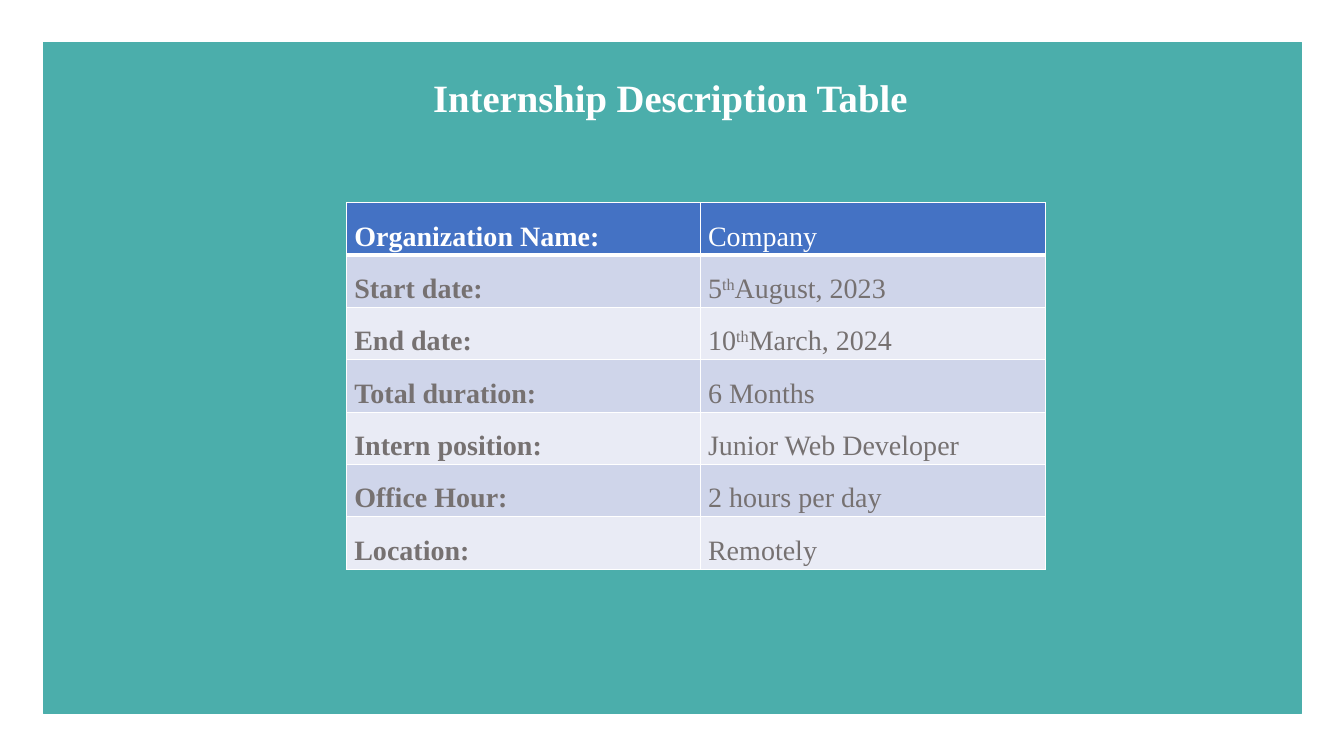
from dataclasses import dataclass

from lxml import etree
from pptx import Presentation
from pptx.dml.color import RGBColor
from pptx.enum import shapes, text
from pptx.oxml.ns import qn
from pptx.slide import Slide
from pptx.table import _Cell as Cell
from pptx.text.text import TextFrame
from pptx.util import Pt


@dataclass(frozen=True)
class Theme:
    font: str = "Times New Roman"
    title: float = 27.6
    body: float = 20
    panel: str = "4BAEAB"
    head: str = "4472C4"
    bands: tuple[str, str] = ("E9EBF5", "CFD5EA")
    white: str = "FFFFFF"
    grey: str = "767171"
    thin: float = 1
    thick: float = 3


@dataclass(frozen=True)
class Row:
    label: str
    value: str  # carets enclose superscript


@dataclass(frozen=True)
class Box:
    left: float
    top: float
    width: float
    height: float

    def pts(self) -> tuple[Pt, Pt, Pt, Pt]:
        return Pt(self.left), Pt(self.top), Pt(self.width), Pt(self.height)


THEME = Theme()
PANEL = Box(31, 30.2, 898.6, 479.5)
TITLE = Box(251, 49, 455.8, 40.3)
GRID = Box(247.7, 144.7, 499, 262.1)
COLS = (252.7, 246.3)
ROWS = (
    Row("Organization Name:", "Company"),
    Row("Start date:", "5^th^August, 2023"),
    Row("End date:", "10^th^March, 2024"),
    Row("Total duration:", "6 Months"),
    Row("Intern position:", "Junior Web Developer"),
    Row("Office Hour:", "2 hours per day"),
    Row("Location:", "Remotely"),
)


def rgb(code: str) -> RGBColor:
    return RGBColor.from_string(code)


def write(frame: TextFrame, words: str, *, size: float, color: str,
          bold: bool = False, align: text.PP_ALIGN = text.PP_ALIGN.LEFT,
          space: float = 1) -> None:
    """Fill the frame with one paragraph; carets enclose superscript."""
    para = frame.paragraphs[0]
    para.alignment = align
    para.line_spacing = space
    for i, part in enumerate(words.split("^")):
        run = para.add_run()
        run.text = part
        font = run.font
        font.name, font.size, font.bold = THEME.font, Pt(size), bold
        font.color.rgb = rgb(color)
        if i % 2:
            run._r.get_or_add_rPr().set("baseline", "30000")


def edge(cell: Cell, top: float, bottom: float) -> None:
    """Draw the cell's four borders, with their own widths above and below."""
    props = cell._tc.get_or_add_tcPr()
    widths = {"L": THEME.thin, "R": THEME.thin, "T": top, "B": bottom}
    for i, (side, width) in enumerate(widths.items()):
        line = etree.Element(qn(f"a:ln{side}"), w=str(Pt(width)))
        fill = etree.SubElement(line, qn("a:solidFill"))
        etree.SubElement(fill, qn("a:srgbClr"), val=THEME.white)
        props.insert(i, line)


def add_panel(slide: Slide) -> None:
    panel = slide.shapes.add_shape(shapes.MSO_SHAPE.RECTANGLE, *PANEL.pts())
    panel.shadow.inherit = False
    panel.fill.solid()
    panel.fill.fore_color.rgb = rgb(THEME.panel)
    panel.line.color.rgb = rgb(THEME.panel)
    panel.line.width = Pt(THEME.thin)
    slide.shapes._spTree.insert(2, panel._element)  # behind the title


def add_title(slide: Slide) -> None:
    title = slide.shapes.title
    title.left, title.top, title.width, title.height = TITLE.pts()
    frame = title.text_frame
    frame.word_wrap = True
    frame.auto_size = text.MSO_AUTO_SIZE.NONE
    frame.vertical_anchor = text.MSO_ANCHOR.MIDDLE
    write(frame, "Internship Description Table", size=THEME.title,
          color=THEME.white, bold=True, align=text.PP_ALIGN.CENTER)


def add_grid(slide: Slide) -> None:
    grid = slide.shapes.add_table(len(ROWS), len(COLS), *GRID.pts()).table
    for col, width in zip(grid.columns, COLS):
        col.width = Pt(width)
    for r, row in enumerate(ROWS):
        grid.rows[r].height = Pt(GRID.height / len(ROWS))
        for c, words in enumerate((row.label, row.value)):
            cell = grid.cell(r, c)
            cell.margin_left = cell.margin_right = Pt(5.4)
            cell.margin_top = cell.margin_bottom = Pt(0)
            cell.vertical_anchor = text.MSO_ANCHOR.MIDDLE
            cell.fill.solid()
            cell.fill.fore_color.rgb = rgb(THEME.bands[r % 2] if r else THEME.head)
            edge(cell, top=THEME.thick if r == 1 else THEME.thin,
                 bottom=THEME.thin if r else THEME.thick)
            write(cell.text_frame, words, size=THEME.body, bold=c == 0,
                  color=THEME.grey if r else THEME.white,
                  align=text.PP_ALIGN.JUSTIFY, space=1.5)


def main() -> None:
    deck = Presentation()
    deck.slide_width, deck.slide_height = Pt(960), Pt(540)
    slide = deck.slides.add_slide(deck.slide_layouts[5])
    add_panel(slide)
    add_title(slide)
    add_grid(slide)
    deck.save("out.pptx")


if __name__ == "__main__":
    main()
